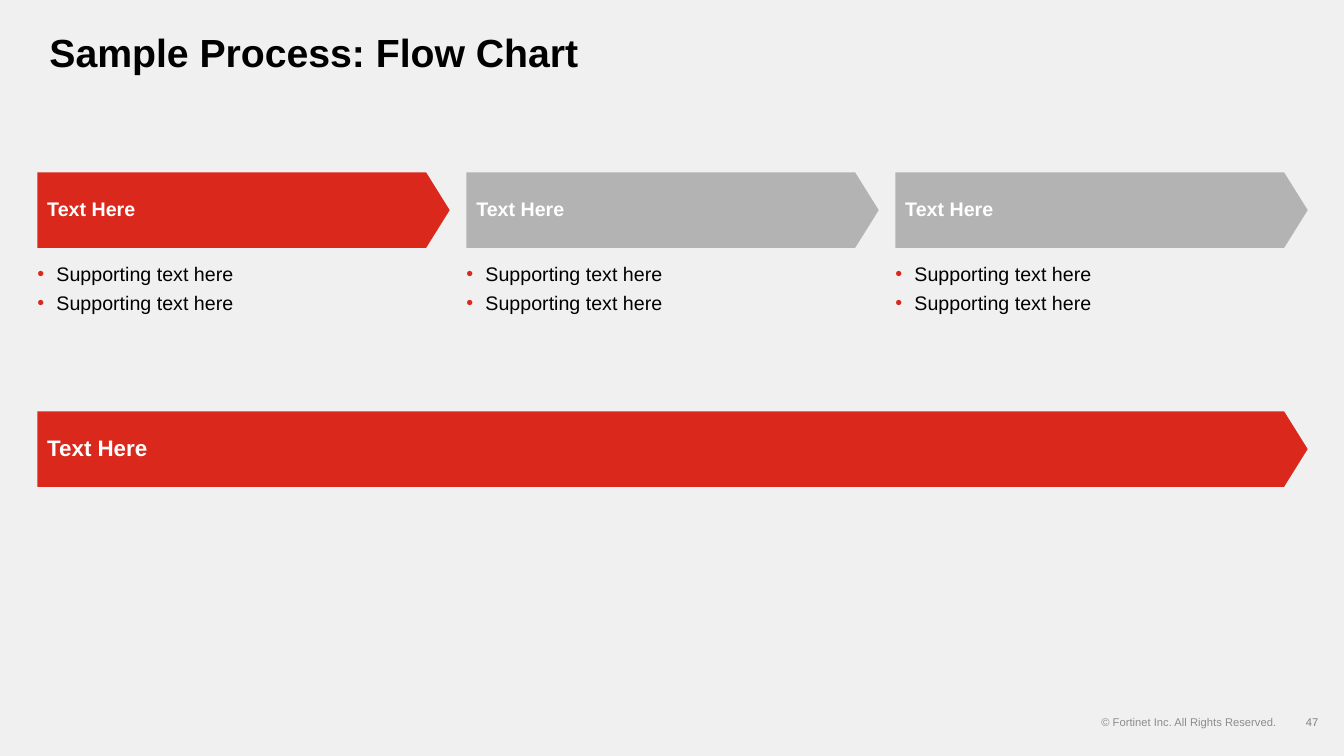
from lxml import etree
from pptx import Presentation
from pptx.dml.color import RGBColor
from pptx.enum.shapes import MSO_SHAPE as SHAPE
from pptx.enum.text import MSO_ANCHOR as ANCHOR, PP_ALIGN as ALIGN
from pptx.oxml.ns import qn
from pptx.util import Inches, Pt

RED, GREY, BLACK, WHITE = "DA291C", "B3B3B3", "000000", "FFFFFF"
LEFT, PITCH, COL_W = 0.37, 4.255, 4.09
ARROW_H = 0.75


def write(shape, text, size, color, bold=False, align=ALIGN.LEFT,
          anchor=ANCHOR.MIDDLE, insets=(0.1, 0.05, 0.1, 0.05), spacing=0.9):
    """Set and format the text; insets are left, top, right, bottom in inches."""
    tf = shape.text_frame
    tf.text = text
    tf.word_wrap = True
    tf.vertical_anchor = anchor
    tf.margin_left, tf.margin_top, tf.margin_right, tf.margin_bottom = map(Inches, insets)
    for p in tf.paragraphs:
        p.alignment = align
        p.line_spacing = spacing
        for r in p.runs:
            r.font.name = "Arial"
            r.font.size = Pt(size)
            r.font.bold = bold
            r.font.color.rgb = RGBColor.from_string(color)


def add_arrow(left, top, width, color, size):
    sp = slide.shapes.add_shape(SHAPE.PENTAGON, Inches(left), Inches(top),
                                Inches(width), Inches(ARROW_H))
    sp.adjustments[0] = 0.312
    sp.shadow.inherit = False
    sp.fill.solid()
    sp.fill.fore_color.rgb = RGBColor.from_string(color)
    sp.line.fill.background()
    write(sp, "Text Here", size, WHITE, bold=True, insets=(0.1, 0.05, 0.25, 0.05))


prs = Presentation()
prs.slide_width, prs.slide_height = Inches(13.33), Inches(7.5)
slide = prs.slides.add_slide(prs.slide_layouts[5])
slide.background.fill.solid()
slide.background.fill.fore_color.rgb = RGBColor.from_string("F0F0F0")

title = slide.shapes.title
title.left, title.top, title.width, title.height = map(Inches, (0.39, 0.29, 12.39, 0.5))
write(title, "Sample Process: Flow Chart", 28, BLACK, bold=True)

# Three steps, each with its supporting bullets
for col, color in enumerate((RED, GREY, GREY)):
    left = LEFT + col * PITCH
    add_arrow(left, 1.71, COL_W, color, 14)
    box = slide.shapes.add_textbox(Inches(left), Inches(2.62), Inches(4), Inches(1.74))
    write(box, "Supporting text here\nSupporting text here", 14, BLACK,
          anchor=ANCHOR.TOP, insets=(0, 0, 0, 0))
    for i, p in enumerate(box.text_frame.paragraphs):
        pPr = p._p.get_or_add_pPr()
        pPr.set("marL", str(Inches(0.19)))
        pPr.set("indent", str(-Inches(0.19)))
        bullet_color = etree.SubElement(pPr, qn("a:buClr"))
        etree.SubElement(bullet_color, qn("a:srgbClr"), val=RED)
        etree.SubElement(pPr, qn("a:buFont"), typeface="Arial")
        etree.SubElement(pPr, qn("a:buChar"), char="•")
        if i:
            p.space_before = Pt(6)

# Summary arrow across all three columns
add_arrow(LEFT, 4.08, 2 * PITCH + COL_W, RED, 16)

# Footer
for text, left, width, color, align in (
        ("© Fortinet Inc. All Rights Reserved.", 10.77, 1.99, "8C8C8C", ALIGN.RIGHT),
        ("47", 12.76, 0.51, "808080", ALIGN.CENTER)):
    box = slide.shapes.add_textbox(Inches(left), Inches(7.01), Inches(width), Inches(0.3))
    write(box, text, 8, color, align=align, spacing=1.0)

prs.save("out.pptx")
